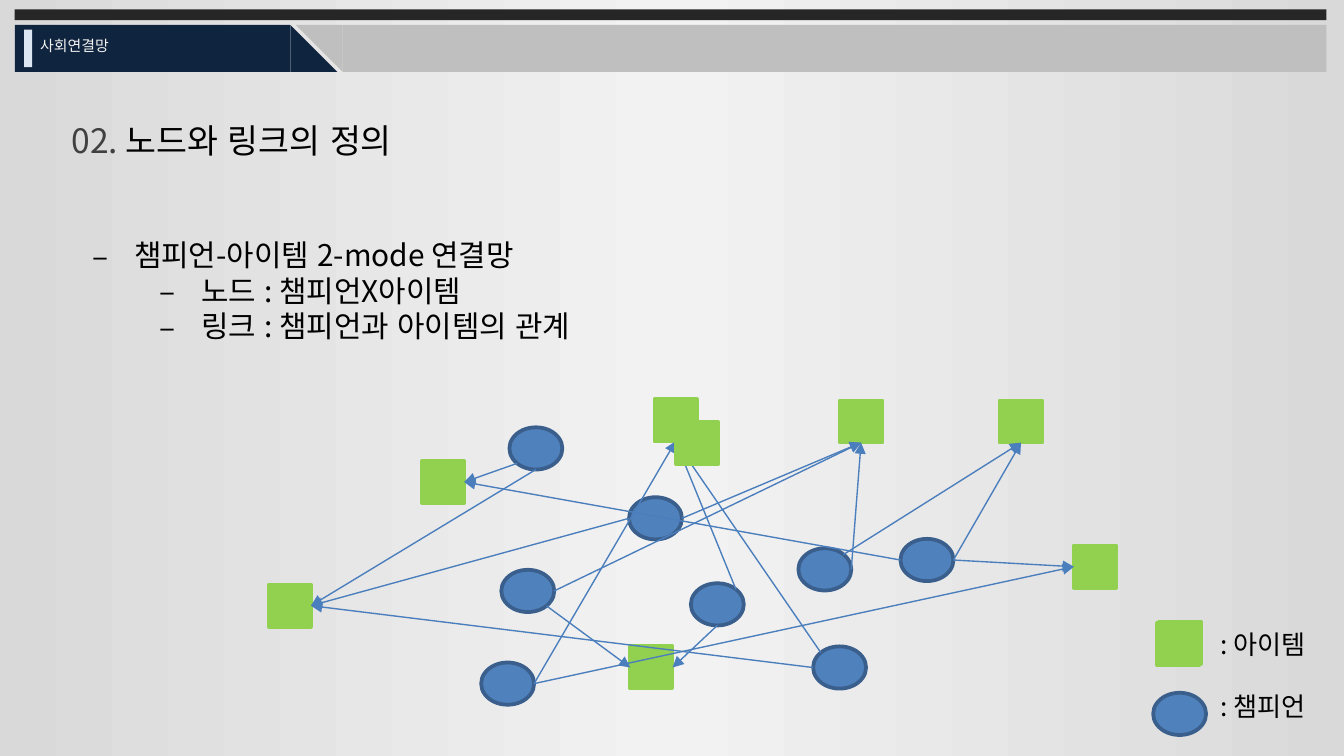
import copy
import math

import pptx
import pptx.dml.color
import pptx.enum.lang
import pptx.enum.shapes
import pptx.enum.text
import pptx.oxml
import pptx.oxml.ns
import pptx.util

FONT = "Noto Sans CJK KR"
SHAPE = pptx.enum.shapes.MSO_SHAPE
COLUMNS = 100  # square grid cells across the slide
WIDTH = pptx.util.Inches(10)
HEIGHT = WIDTH * 9 // 16

NAVY, GREY, BLACK = "0F243E", "BFBFBF", "000000"
ITEM = (SHAPE.RECTANGLE, 3.14, "92D050", "92D050")
CHAMPION = (SHAPE.OVAL, 3.94, "4F81BD", "3A5F8C")
NODE_HEIGHT = 3.14

# Column and row of each node inside the network box
CHAMPIONS = {
    "center": (26.8, 7.3), "top": (17.9, 2.1), "middle": (31.4, 13.7),
    "right": (39.4, 11.1), "low left": (15.8, 19.6), "far right": (47, 10.4),
    "low right": (40.5, 18.4), "left": (17.3, 12.7),
}
ITEMS = {
    "upper left": (11.4, 4.6), "upper middle": (28.7, 0), "upper right": (42.5, 0.1),
    "far left": (0, 13.8), "corner": (54.4, 0.1), "far right": (59.9, 10.9),
    "bottom": (26.9, 18.4),
}
FRONT_ITEM = (30.3, 1.7)
# Champion, angle on its outline, item, angle on its outline (0 = right, 90 = down)
LINKS = [
    ("top", 135, "upper left", 0), ("top", 90, "far left", 0),
    ("left", 45, "bottom", 180), ("left", 0, "upper right", 90),
    ("low left", 0, "upper middle", 90), ("low left", 0, "far right", 180),
    ("center", 0, "upper right", 90), ("center", 180, "far left", 0),
    ("middle", -45, "upper middle", 90), ("middle", 90, "bottom", 0),
    ("right", -45, "corner", 90), ("right", 0, "upper right", 90),
    ("far right", 0, "far right", 180), ("far right", 0, "corner", 90),
    ("far right", 180, "upper left", 0), ("low right", 180, "far left", 0),
    ("low right", -135, "upper middle", 90),
]


def cells(count):
    return round(WIDTH * count / COLUMNS)


def color(value):
    return pptx.dml.color.RGBColor.from_string(value)


def add_tag(parent, tag, **attributes):
    element = pptx.oxml.parse_xml(f"<a:{tag} {pptx.oxml.ns.nsdecls('a')}/>")
    for name, value in attributes.items():
        element.set(name, value)
    parent.append(element)


def draw_shape(page, kind, box, fill, line=None):
    shape = page.shapes.add_shape(kind, *map(cells, box))
    shape.shadow.inherit = False
    shape.fill.solid()
    shape.fill.fore_color.rgb = color(fill)
    if line:
        shape.line.color.rgb = color(line)
        shape.line.width = pptx.util.Pt(2)
    else:
        shape.line.fill.background()
    return shape


def draw_node(page, style, left, top):
    kind, width, fill, line = style
    draw_shape(page, kind, (left, top, width, NODE_HEIGHT), fill, line)


def draw_link(page, start, end):
    link = page.shapes.add_connector(
        pptx.enum.shapes.MSO_CONNECTOR.STRAIGHT, *map(cells, start + end))
    link.line.color.rgb = color("4B7EBC")
    link.line.width = pptx.util.Pt(0.75)
    add_tag(link.line._get_or_add_ln(), "tailEnd", type="triangle")
    add_tag(link._element.spPr, "effectLst")


def add_textbox(page, box):
    frame = page.shapes.add_textbox(*map(cells, box)).text_frame
    frame.word_wrap = True
    frame.vertical_anchor = pptx.enum.text.MSO_ANCHOR.TOP
    return frame


def add_span(para, text, size, fill):
    span = para.add_run()
    span.text = text
    span.font.name = FONT
    span.font.size = pptx.util.Pt(size)
    span.font.color.rgb = color(fill)
    span.font.language_id = pptx.enum.lang.MSO_LANGUAGE_ID.KOREAN
    # Korean glyphs take the East Asian font
    add_tag(span.font._element, "ea", typeface=FONT)


def paint_background(page):
    fill = page.background.fill
    fill.gradient()
    fill.gradient_angle = 0
    stop_list = page._element.find(".//" + pptx.oxml.ns.qn("a:gsLst"))
    stop_list.append(copy.deepcopy(stop_list[-1]))
    for stop, place, shade in zip(fill.gradient_stops, (0, 0.5, 1),
                                  ("D9D9D9", "F2F2F2", "D9D9D9")):
        stop.position = place
        stop.color.rgb = color(shade)


def draw_header(page, box):
    left, top, width, height = box
    band, tab, slant = 3.5, 20.5, 3.5
    row = top + height - band
    grey_left = left + tab + 0.4
    # Top rule and navy tab with its slanted end
    draw_shape(page, SHAPE.RECTANGLE, (left, top, width, 0.8), "262626")
    draw_shape(page, SHAPE.RECTANGLE, (left, row, tab, band), NAVY)
    draw_shape(page, SHAPE.RIGHT_TRIANGLE, (left + tab, row, slant, band), NAVY)
    # Grey band, its slant turned to face the tab
    bar_left = grey_left + slant
    draw_shape(page, SHAPE.RECTANGLE,
               (bar_left, row, left + width - bar_left, band), GREY)
    draw_shape(page, SHAPE.RIGHT_TRIANGLE,
               (grey_left, row, slant, band), GREY).rotation = 180
    # Light marker and section name
    draw_shape(page, SHAPE.RECTANGLE, (left + 0.7, row + 0.35, 0.6, 2.8), "DCE6F2")
    frame = add_textbox(page, (left + 0.9, row + 0.35, 15, 2.4))
    add_span(frame.paragraphs[0], "사회연결망", 8, "F2F2F2")


def write_title(page, box):
    para = add_textbox(page, box).paragraphs[0]
    add_span(para, "02. ", 18, "404040")
    add_span(para, "노드와 링크의 정의", 18, BLACK)


def write_body(page, box):
    frame = add_textbox(page, box)
    lines = [(0, "챔피언-아이템 2-mode 연결망"), (1, "노드 : 챔피언X아이템"),
             (1, "링크 : 챔피언과 아이템의 관계")]
    for index, (level, text) in enumerate(lines):
        para = frame.add_paragraph() if index else frame.paragraphs[0]
        para.level = level
        properties = para._p.get_or_add_pPr()
        properties.set("marL", str(cells(3.1 + 5 * level)))
        properties.set("indent", str(-cells(3.1)))
        add_tag(properties, "buFont", typeface=FONT)
        add_tag(properties, "buChar", char="–")
        add_span(para, text, 16, BLACK)


def draw_network(page, box):
    left, top = box[:2]

    def outline_point(style, place, angle):
        half_width, half_height = style[1] / 2, NODE_HEIGHT / 2
        turn = math.radians(angle)
        return (left + place[0] + half_width * (1 + math.cos(turn)),
                top + place[1] + half_height * (1 + math.sin(turn)))

    for style, places in ((CHAMPION, CHAMPIONS), (ITEM, ITEMS)):
        for column, row in places.values():
            draw_node(page, style, left + column, top + row)
    for champion, start, item, end in LINKS:
        draw_link(page, outline_point(CHAMPION, CHAMPIONS[champion], start),
                  outline_point(ITEM, ITEMS[item], end))
    # This item overlaps the links that pass behind it
    draw_node(page, ITEM, left + FRONT_ITEM[0], top + FRONT_ITEM[1])


def draw_legend(page, box):
    left, top, width, height = box
    for shift in (0.3, 0.4):
        draw_node(page, ITEM, left + shift, top + 0.4 - shift)
    draw_node(page, CHAMPION, left, top + 5.3)
    frame = add_textbox(page, (left + 4, top, width - 4, height))
    add_span(frame.paragraphs[0], ": 아이템", 14, BLACK)
    para = frame.add_paragraph()
    para.space_before = pptx.util.Pt(16.6)
    add_span(para, ": 챔피언", 14, BLACK)


def main():
    deck = pptx.Presentation()
    deck.slide_width, deck.slide_height = WIDTH, HEIGHT
    page = deck.slides.add_slide(deck.slide_layouts[6])
    paint_background(page)
    draw_header(page, (1.1, 0.7, 97.6, 4.65))
    write_body(page, (5.9, 17.1, 92.8, 37.3))
    write_title(page, (4.35, 8.4, 91.3, 4))
    draw_network(page, (20, 29.7, 63, 22.7))
    draw_legend(page, (85.8, 46.25, 13.8, 8.1))
    deck.save("out.pptx")


if __name__ == "__main__":
    main()
